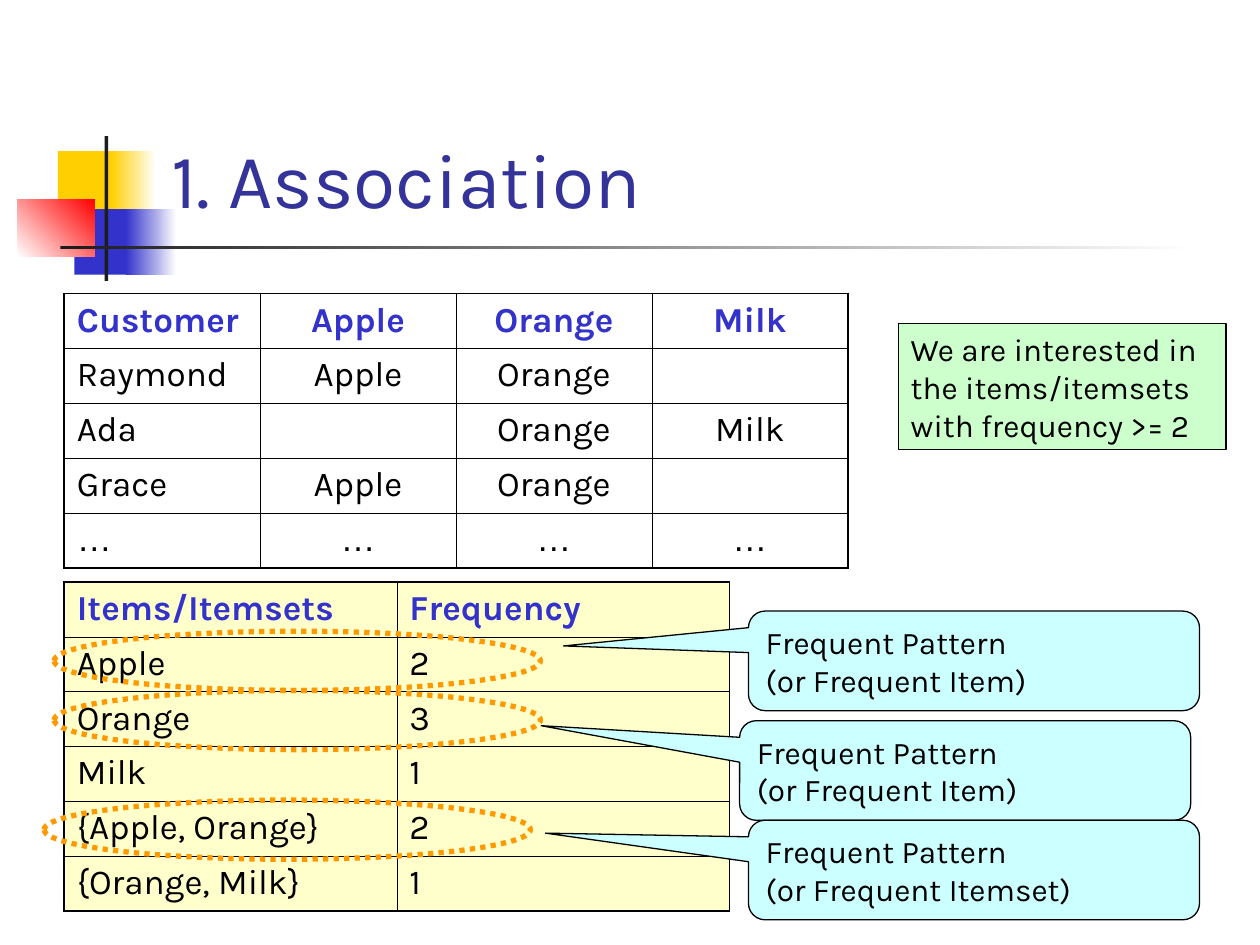
from dataclasses import dataclass

from lxml.etree import SubElement
from pptx import Presentation
from pptx.dml.color import RGBColor
from pptx.enum.dml import MSO_LINE
from pptx.enum.shapes import MSO_SHAPE as SHAPE
from pptx.enum.text import MSO_ANCHOR as ANCHOR, MSO_AUTO_SIZE as AUTO, PP_ALIGN as ALIGN
from pptx.oxml.ns import qn
from pptx.util import Inches, Pt


@dataclass(frozen=True)
class Theme:
    font: str = "Karla"
    ellipsis_font: str = "Arial"
    title_size: float = 44
    table_size: float = 20
    body_size: float = 18
    outer_border: float = 1.08
    inner_border: float = 0.45
    title: str = "333399"
    blue: str = "3333CC"
    gold: str = "FFCF01"
    red: str = "FF0000"
    dark: str = "1C1C1C"
    black: str = "000000"
    white: str = "FFFFFF"
    yellow: str = "FFFFCC"
    green: str = "CCFFCC"
    cyan: str = "CCFFFF"
    orange: str = "FF9900"


THEME = Theme()

CUSTOMERS = [
    ["Customer", "Apple", "Orange", "Milk"],
    ["Raymond", "Apple", "Orange", ""],
    ["Ada", "", "Orange", "Milk"],
    ["Grace", "Apple", "Orange", ""],
    ["…", "…", "…", "…"],
]
FREQUENCIES = [
    ["Items/Itemsets", "Frequency"],
    ["Apple", "2"],
    ["Orange", "3"],
    ["Milk", "1"],
    ["{Apple, Orange}", "2"],
    ["{Orange, Milk}", "1"],
]


def rgb(color):
    return RGBColor.from_string(color)


def write(tf, text, size, color=THEME.black, bold=False, align=ALIGN.LEFT, font=THEME.font):
    tf.text = text
    for p in tf.paragraphs:
        p.alignment = align
        for r in p.runs:
            r.font.name = font
            r.font.size = Pt(size)
            r.font.bold = bold
            r.font.color.rgb = rgb(color)


def add_shape(s, kind, box, fill=None, line=None, width=0.75):
    sp = s.shapes.add_shape(kind, *map(Inches, box))
    sp.shadow.inherit = False
    if fill:
        sp.fill.solid()
        sp.fill.fore_color.rgb = rgb(fill)
    else:
        sp.fill.background()
    if line:
        sp.line.color.rgb = rgb(line)
        sp.line.width = Pt(width)
    else:
        sp.line.fill.background()
    return sp


def add_gradient(s, box, start, end, angle=0):
    sp = add_shape(s, SHAPE.RECTANGLE, box)
    sp.fill.gradient()
    sp.fill.gradient_angle = angle
    for stop, color, position in zip(sp.fill.gradient_stops, (start, end), (0, 1)):
        stop.color.rgb = rgb(color)
        stop.position = position


def add_decoration(s):
    add_shape(s, SHAPE.RECTANGLE, (0.46, 1.2, 0.48, 0.52), THEME.gold)
    add_gradient(s, (0.88, 1.2, 0.36, 0.52), THEME.gold, THEME.white)
    add_shape(s, SHAPE.RECTANGLE, (0.59, 1.66, 0.46, 0.52), THEME.blue)
    add_gradient(s, (1, 1.66, 0.4, 0.52), THEME.blue, THEME.white)
    add_gradient(s, (0.14, 1.58, 0.61, 0.46), THEME.white, THEME.red, 45)
    add_shape(s, SHAPE.RECTANGLE, (0.83, 1.08, 0.03, 1.15), THEME.dark)
    add_gradient(s, (0.48, 1.95, 9, 0.03), THEME.dark, THEME.white)


def add_title(s, text):
    tf = s.shapes.add_textbox(*map(Inches, (1.26, 0.23, 8.52, 1.6))).text_frame
    tf.word_wrap = True
    tf.vertical_anchor = ANCHOR.BOTTOM
    write(tf, text, THEME.title_size, THEME.title)


def set_borders(cell, outer_sides):
    """Draw the four cell borders, heavier on the table's outside."""
    tc_pr = cell._tc.get_or_add_tcPr()
    for side, is_outer in outer_sides.items():
        width = THEME.outer_border if is_outer else THEME.inner_border
        ln = SubElement(tc_pr, qn(f"a:ln{side}"), w=str(Pt(width)))
        SubElement(SubElement(ln, qn("a:solidFill")), qn("a:srgbClr"), val=THEME.black)


def add_table(s, box, rows, fill=None, value_align=ALIGN.LEFT):
    n_rows, n_cols = len(rows), len(rows[0])
    table = s.shapes.add_table(n_rows, n_cols, *map(Inches, box)).table
    table.first_row = table.horz_banding = False
    for i, row in enumerate(rows):
        for j, text in enumerate(row):
            cell = table.cell(i, j)
            set_borders(cell, {"L": j == 0, "R": j == n_cols - 1,
                               "T": i == 0, "B": i == n_rows - 1})
            if fill:
                cell.fill.solid()
                cell.fill.fore_color.rgb = rgb(fill)
            else:
                cell.fill.background()
            if text:
                write(cell.text_frame, text, THEME.table_size,
                      THEME.blue if i == 0 else THEME.black, i == 0,
                      value_align if j else ALIGN.LEFT,
                      THEME.ellipsis_font if text == "…" else THEME.font)


def add_ring(s, left, top):
    sp = add_shape(s, SHAPE.OVAL, (left, top, 3.86, 0.47), line=THEME.orange, width=3)
    sp.line.dash_style = MSO_LINE.ROUND_DOT


def add_note(s, box, text):
    sp = add_shape(s, SHAPE.RECTANGLE, box, THEME.green, THEME.black)
    tf = sp.text_frame
    tf.word_wrap = True
    tf.auto_size = AUTO.SHAPE_TO_FIT_TEXT
    tf.vertical_anchor = ANCHOR.TOP
    write(tf, text, THEME.body_size)


def add_callout(s, left, top, tip, kind):
    sp = add_shape(s, SHAPE.ROUNDED_RECTANGULAR_CALLOUT, (left, top, 3.58, 0.79),
                   THEME.cyan, THEME.black)
    sp.adjustments[0], sp.adjustments[1] = tip
    sp.text_frame.word_wrap = True
    sp.text_frame.vertical_anchor = ANCHOR.MIDDLE
    write(sp.text_frame, f"Frequent Pattern\n(or Frequent {kind})", THEME.body_size)


def main():
    prs = Presentation()
    prs.slide_width, prs.slide_height = Inches(10), Inches(7.5)
    s = prs.slides.add_slide(prs.slide_layouts[6])

    # Heading
    add_decoration(s)
    add_title(s, "1. Association")

    # Purchases and the counts found in them
    add_table(s, (0.51, 2.33, 6.22, 2.18), CUSTOMERS, value_align=ALIGN.CENTER)
    add_table(s, (0.51, 4.62, 5.28, 2.61), FREQUENCIES, THEME.yellow)

    # Threshold note
    add_note(s, (7.13, 2.57, 2.6, 1),
             "We are interested in the items/itemsets with frequency >= 2")

    # Rings around the frequent rows
    for left, top in ((0.43, 5.01), (0.43, 5.48), (0.35, 6.35)):
        add_ring(s, left, top)

    # Callouts pointing at the rings
    add_callout(s, 5.94, 4.85, (-0.91, -0.15), "Item")
    add_callout(s, 5.87, 5.72, (-0.94, -0.45), "Item")
    add_callout(s, 5.94, 6.51, (-0.95, -0.37), "Itemset")

    prs.save("out.pptx")


if __name__ == "__main__":
    main()
